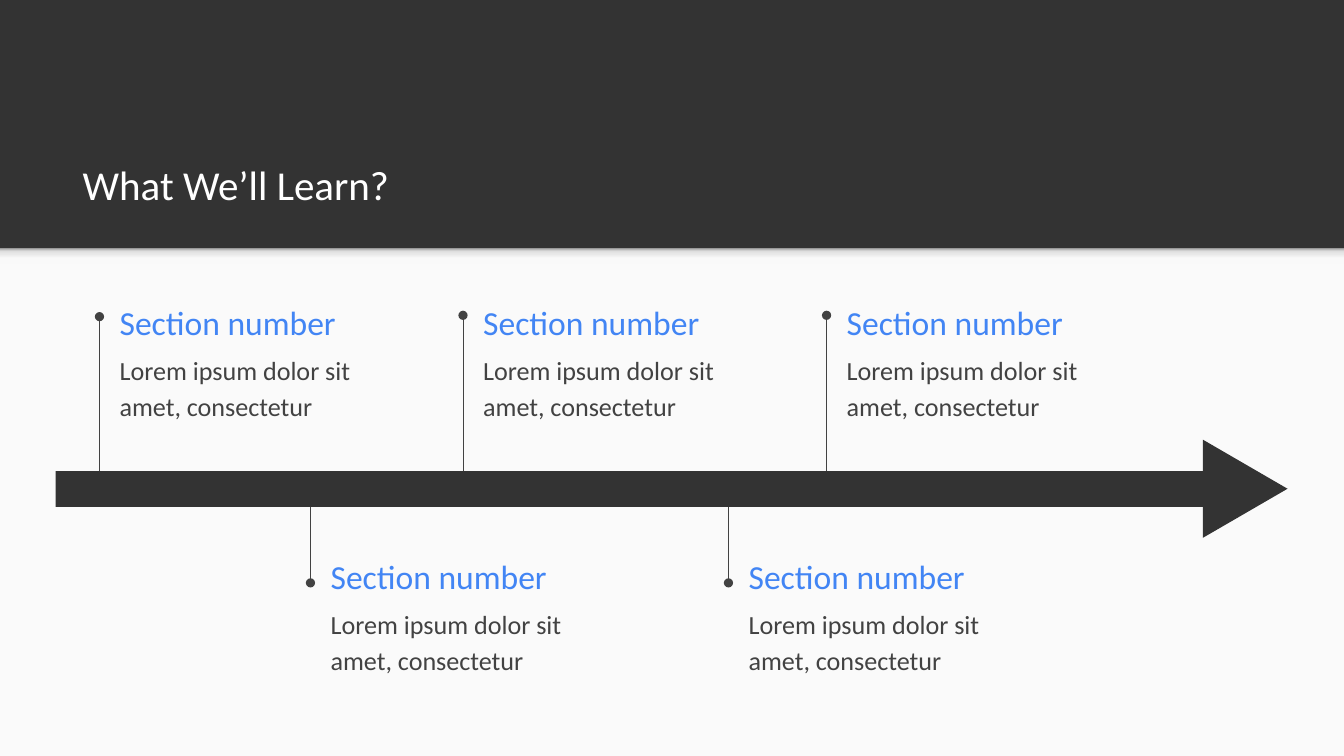
from lxml import etree
from pptx import Presentation
from pptx.dml.color import RGBColor
from pptx.enum.shapes import MSO_CONNECTOR, MSO_SHAPE
from pptx.enum.text import MSO_ANCHOR
from pptx.oxml.ns import qn
from pptx.util import Emu, Inches, Pt

RECTANGLE, TRIANGLE = MSO_SHAPE.RECTANGLE, MSO_SHAPE.ISOSCELES_TRIANGLE
STRAIGHT = MSO_CONNECTOR.STRAIGHT
TOP, MIDDLE, BOTTOM = MSO_ANCHOR.TOP, MSO_ANCHOR.MIDDLE, MSO_ANCHOR.BOTTOM

PAGE_WIDTH, PAGE_HEIGHT = Inches(20), Emu(10282238)
WIDTH, HEIGHT = PAGE_WIDTH.inches, PAGE_HEIGHT.inches
HEADER_HEIGHT = 3.69
AXIS_Y = 7.27
FONT = "Calibri"
COLORS = {
    "dark": "333333",
    "paper": "FAFAFA",
    "text": "424242",
    "accent": "4285F4",
    "white": "FFFFFF",
}
SHADOW_STOPS = [(0, "F9F9F9"), (36, "F9F9F9"), (80, "DEDEDE"), (100, "999999")]

# Milestones alternate above and below the arrow
UPPER = {"start": 1.48, "step": 5.41, "dots": [4.71, 4.69, 4.69], "heading": 4.36}
LOWER = {"start": 4.62, "step": 6.22, "dots": [8.67, 8.67], "heading": 8.14}


def color(name):
    return RGBColor.from_string(COLORS[name])


def add_block(page, kind, left, top, width, height, fill):
    block = page.shapes.add_shape(
        kind, Inches(left), Inches(top), Inches(width), Inches(height))
    block.shadow.inherit = False
    block.line.fill.background()
    block.fill.solid()
    block.fill.fore_color.rgb = color(fill)
    return block


def add_text(page, text, left, top, width, height, size, fill, anchor):
    box = page.shapes.add_textbox(
        Inches(left), Inches(top), Inches(width), Inches(height))
    frame = box.text_frame
    frame.word_wrap = True
    frame.vertical_anchor = anchor
    frame.margin_left = frame.margin_right = Inches(0.2)
    frame.margin_top = frame.margin_bottom = Inches(0.2)
    para = frame.paragraphs[0]
    para.text = text
    para.font.name = FONT
    para.font.size = Pt(size)
    para.font.color.rgb = color(fill)
    return para


def add_stem(page, x, dot_y):
    """Draw a thin line from the arrow to a round end."""
    stem = page.shapes.add_connector(
        STRAIGHT, Inches(x), Inches(AXIS_Y), Inches(x), Inches(dot_y))
    stem.line.color.rgb = color("text")
    stem.line.width = Pt(0.75)
    outline = stem._element.spPr.find(qn("a:ln"))
    etree.SubElement(outline, qn("a:tailEnd"), type="oval", w="lg", len="lg")
    etree.SubElement(stem._element.spPr, qn("a:effectLst"))


def add_milestones(page, row):
    for index, dot_y in enumerate(row["dots"]):
        x = row["start"] + index * row["step"]
        left, top = x + 0.1, row["heading"]
        add_stem(page, x, dot_y)
        add_text(page, "Section number", left, top, 3.97, 0.86,
                 36, "accent", MIDDLE)
        para = add_text(page, "Lorem ipsum dolor sit amet, consectetur",
                        left, top + 0.64, 3.97, 1.27, 28, "text", TOP)
        para.line_spacing = 1.15
        para.space_after = Pt(16)


def add_header_shadow(page):
    band = add_block(page, RECTANGLE, 0, HEADER_HEIGHT, WIDTH, 0.24, "paper")
    band.fill.gradient()
    band.fill.gradient_angle = 90
    stops = band._element.spPr.find(qn("a:gradFill")).find(qn("a:gsLst"))
    for stop in list(stops):
        stops.remove(stop)
    for percent, value in SHADOW_STOPS:
        stop = etree.SubElement(stops, qn("a:gs"), pos=str(percent * 1000))
        etree.SubElement(stop, qn("a:srgbClr"), val=value)


def add_arrow(page):
    length, spread = 1.26, 1.46
    center_x = 18.53
    head = add_block(page, TRIANGLE, center_x - spread / 2,
                     AXIS_Y - length / 2, spread, length, "dark")
    head.rotation = 90
    add_block(page, RECTANGLE, 0.83, AXIS_Y - 0.26, 17.3, 0.53, "dark")


def main():
    deck = Presentation()
    deck.slide_width, deck.slide_height = PAGE_WIDTH, PAGE_HEIGHT
    page = deck.slides.add_slide(deck.slide_layouts[6])

    # Dark header over a light body
    page.background.fill.solid()
    page.background.fill.fore_color.rgb = color("dark")
    add_block(page, RECTANGLE, 0, HEADER_HEIGHT, WIDTH,
              HEIGHT - HEADER_HEIGHT, "paper")
    add_header_shadow(page)

    # Timeline
    for row in (UPPER, LOWER):
        add_milestones(page, row)
    add_text(page, "What We’ll Learn?", 1.03, 1.62, 17.99, 1.68,
             44, "white", BOTTOM)
    add_arrow(page)

    deck.save("out.pptx")


if __name__ == "__main__":
    main()
